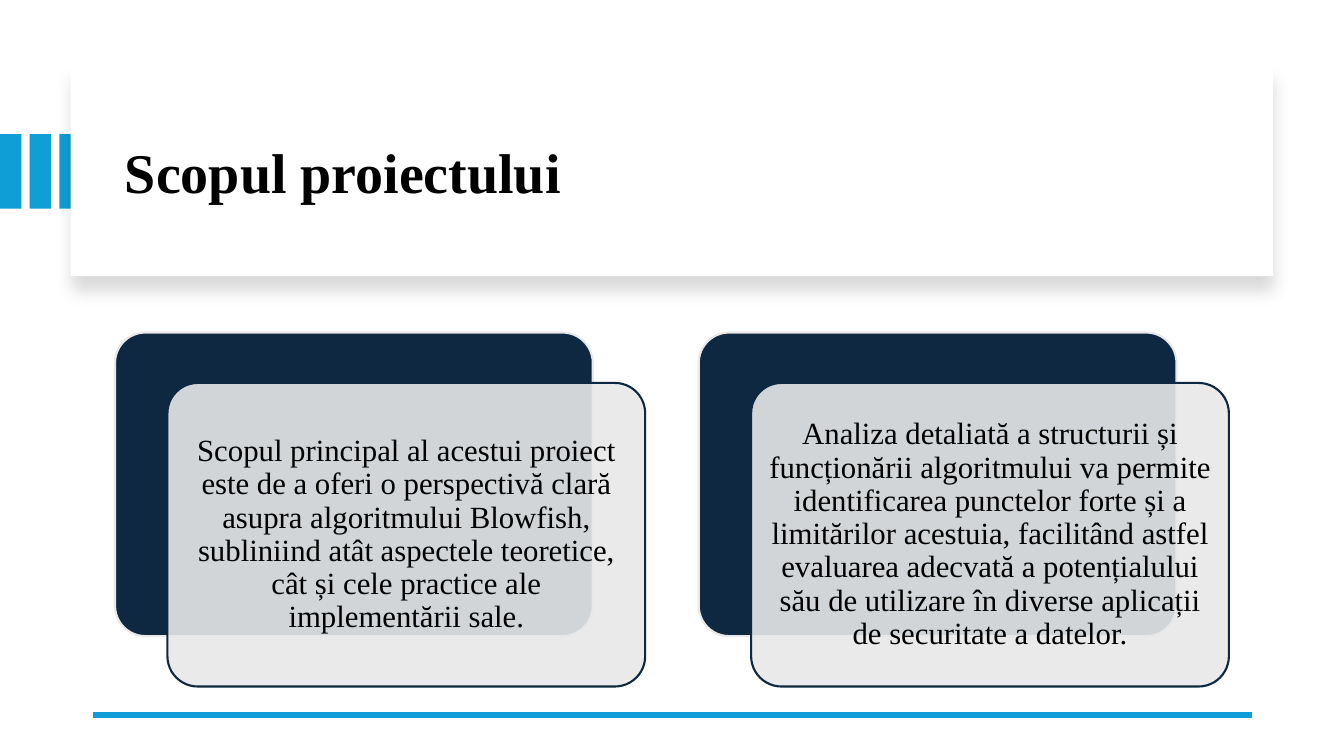
from lxml import etree
from pptx import Presentation
from pptx import util as u
from pptx.dml.color import RGBColor
from pptx.enum import shapes, text
from pptx.oxml import ns

BLUE, NAVY, GRAY, WHITE, BLACK = "0F9ED5", "0E2841", "E8E8E8", "FFFFFF", "000000"

GOALS = [
    "Scopul principal al acestui proiect este de a oferi o perspectivă clară asupra "
    "algoritmului Blowfish, subliniind atât aspectele teoretice, cât și cele practice "
    "ale implementării sale.",
    "Analiza detaliată a structurii și funcționării algoritmului va permite identificarea "
    "punctelor forte și a limitărilor acestuia, facilitând astfel evaluarea adecvată a "
    "potențialului său de utilizare în diverse aplicații de securitate a datelor.",
]


def paint(color_format, value):
    color_format.rgb = RGBColor.from_string(value)


def add_child(parent, tag, **attributes):
    child = etree.SubElement(parent, ns.qn(tag))
    for key, value in attributes.items():
        child.set(key, str(value))
    return child


def write(frame, words, size, bold=False, align=text.PP_ALIGN.LEFT, font="Times New Roman"):
    paragraph = frame.paragraphs[0]
    paragraph.alignment = align
    paragraph.line_spacing = 0.9
    run = paragraph.add_run()
    run.text = words
    run.font.name = font
    run.font.size = u.Pt(size)
    run.font.bold = bold
    paint(run.font.color, BLACK)


class GoalSlide:
    def __init__(self, deck):
        self.slide = deck.slides.add_slide(deck.slide_layouts[6])
        self.items = self.slide.shapes

    def box(self, left, top, width, height, fill, line=None, rounding=None, opacity=None):
        kind = shapes.MSO_SHAPE.RECTANGLE
        if rounding is not None:
            kind = shapes.MSO_SHAPE.ROUNDED_RECTANGLE
        box = self.items.add_shape(kind, *map(u.Cm, (left, top, width, height)))
        if rounding is not None:
            box.adjustments[0] = rounding
        box.shadow.inherit = False
        box.fill.solid()
        paint(box.fill.fore_color, fill)
        if opacity is not None:
            color = box.fill._xPr.find(".//" + ns.qn("a:srgbClr"))
            add_child(color, "a:alpha", val=opacity * 1000)
        if line:
            paint(box.line.color, line)
            box.line.width = u.Pt(1.5)
        else:
            box.line.fill.background()
        return box

    def panel(self, left, top, width, height):
        panel = self.box(left, top, width, height, WHITE)
        effects = panel._element.spPr.find(ns.qn("a:effectLst"))
        shadow = add_child(effects, "a:outerShdw", blurRad=u.Pt(11), dist=u.Pt(10),
                           dir=90 * 60000, algn="t", rotWithShape=0)
        color = add_child(shadow, "a:srgbClr", val=BLACK)
        add_child(color, "a:alpha", val=15000)

    def label(self, left, top, width, height, words, inset, **style):
        frame = self.items.add_textbox(*map(u.Cm, (left, top, width, height))).text_frame
        frame.word_wrap = True
        frame.vertical_anchor = text.MSO_ANCHOR.MIDDLE
        frame.margin_left = frame.margin_right = u.Cm(inset)
        frame.margin_top = frame.margin_bottom = u.Cm(inset)
        write(frame, words, **style)

    def rule(self, start, end, y):
        rule = self.items.add_connector(shapes.MSO_CONNECTOR.STRAIGHT,
                                        u.Cm(start), u.Cm(y), u.Cm(end), u.Cm(y))
        paint(rule.line.color, BLUE)
        rule.line.width = u.Pt(4.5)
        add_child(rule._element.spPr, "a:effectLst")

    def card(self, left, top, words):
        width, height, pad = 12.04, 7.65, 0.23
        self.box(left, top, width, height, NAVY, line=GRAY, rounding=0.1)
        left, top = left + 1.32, top + 1.27
        self.box(left, top, width, height, GRAY, line=NAVY, rounding=0.1, opacity=90)
        self.label(left + pad, top + pad, width - 2 * pad, height - 2 * pad, words,
                   inset=0.2, size=22, align=text.PP_ALIGN.CENTER)


def main():
    deck = Presentation()
    deck.slide_width, deck.slide_height = u.Cm(33.87), u.Cm(19.05)
    page = GoalSlide(deck)
    for stripe in range(3):
        page.box(stripe * 0.75, 3.38, 0.54, 1.88, BLUE)
    page.panel(1.78, 1.7, 30.3, 5.26)
    page.label(2.9, 2.26, 28.27, 4.32, "Scopul proiectului", inset=0.25, size=40, bold=True)
    page.rule(31.55, 2.34, 18.01)
    for column, goal in enumerate(GOALS):
        page.card(2.9 + column * 14.71, 8.38, goal)
    deck.save("out.pptx")


if __name__ == "__main__":
    main()
